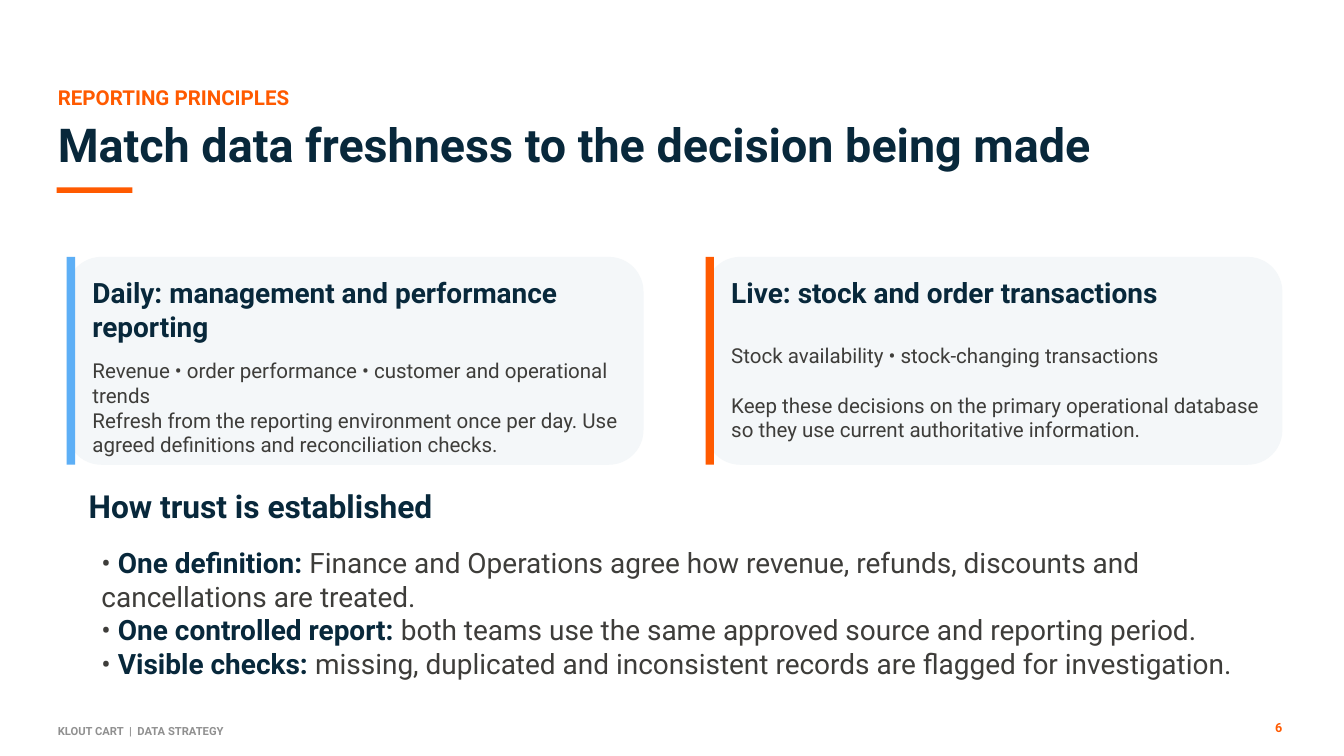
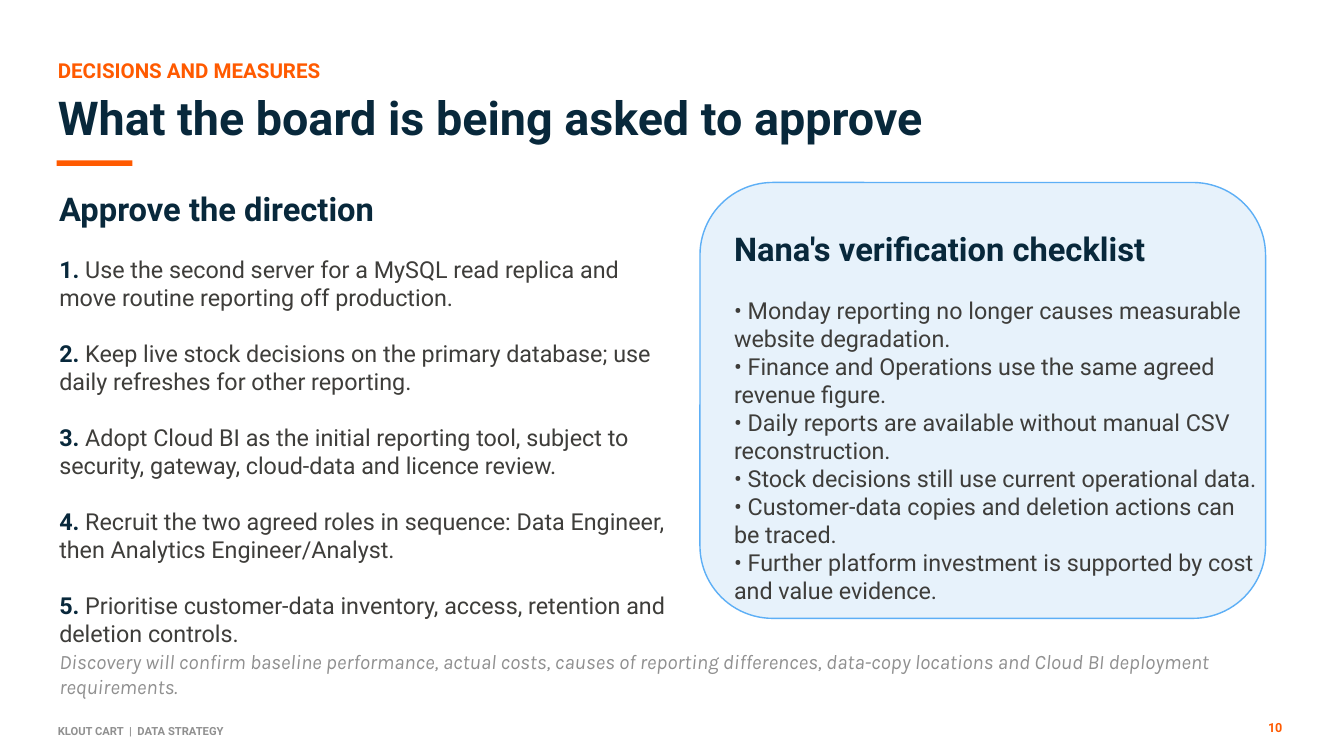
from pptx import Presentation
from pptx.dml.color import RGBColor
from pptx.enum.shapes import MSO_SHAPE
from pptx.enum.text import MSO_AUTO_SIZE, PP_ALIGN
from pptx.util import Pt

RECT, ROUNDED = MSO_SHAPE.RECTANGLE, MSO_SHAPE.ROUNDED_RECTANGLE
LEFT, RIGHT = PP_ALIGN.LEFT, PP_ALIGN.RIGHT
GROW = MSO_AUTO_SIZE.SHAPE_TO_FIT_TEXT

COLORS = {
    "navy": "08283B", "orange": "FF5A00", "blue": "5DAFF6", "body": "3E3D3A",
    "grey": "909090", "card": "F4F7F9", "panel": "E7F2FB", "white": "FFFFFF",
}
FONT, NOTE_FONT = "Roboto", "Karla"
LEADING = 1.2
MARGIN = 62


def rgb(name):
    return RGBColor.from_string(COLORS[name])


class Deck:
    def __init__(self):
        self.prs = Presentation()
        self.prs.slide_width, self.prs.slide_height = Pt(1440), Pt(810)
        self.s = None

    def slide(self, label, title, number, top):
        """Start a slide with its header at the given top, and its footer."""
        self.s = self.prs.slides.add_slide(self.prs.slide_layouts[6])
        fill = self.s.background.fill
        fill.solid()
        fill.fore_color.rgb = rgb("white")
        # Header
        self.text(MARGIN, top, 1074, 26, [label], 22, "orange", bold=True)
        self.text(MARGIN, top + 33, 1312, 60, [title], 50, "navy", bold=True)
        self.shape(RECT, 60.75, top + 109.75, 81, 6, "orange")
        # Footer
        self.text(MARGIN, 776, 750, 14, ["KLOUT CART  |  DATA STRATEGY"],
                  12, "grey", bold=True)
        self.text(1325.5, 771, 48.5, 18.5, [str(number)], 13.5, "orange",
                  bold=True, align=RIGHT)

    def shape(self, kind, x, y, w, h, fill, line=None):
        sp = self.s.shapes.add_shape(kind, Pt(x), Pt(y), Pt(w), Pt(h))
        sp.shadow.inherit = False
        sp.fill.solid()
        sp.fill.fore_color.rgb = rgb(fill)
        if line:
            sp.line.color.rgb = rgb(line)
            sp.line.width = Pt(1.5)
        else:
            sp.line.fill.background()

    def text(self, x, y, w, h, paragraphs, size, color="body", bold=False,
             italic=False, font=FONT, align=LEFT, gap=0):
        """Add a text box; parts between ** marks are bold navy."""
        tf = self.s.shapes.add_textbox(Pt(x), Pt(y), Pt(w), Pt(h)).text_frame
        tf.word_wrap = True
        tf.auto_size = GROW
        tf.margin_left = tf.margin_right = tf.margin_top = tf.margin_bottom = 0
        for i, content in enumerate(paragraphs):
            p = tf.add_paragraph() if i else tf.paragraphs[0]
            p.alignment = align
            p.line_spacing = Pt(size * LEADING)
            p.space_before = Pt(gap if i else 0)
            for j, part in enumerate(content.split("**")):
                if not part:
                    continue
                strong = j % 2 == 1
                r = p.add_run()
                r.text = part
                r.font.name, r.font.size = font, Pt(size)
                r.font.bold, r.font.italic = bold or strong, italic
                r.font.color.rgb = rgb("navy" if strong else color)

    def heading(self, x, y, w, h, content, size):
        self.text(x, y, w, h, [content], size, "navy", bold=True)

    def card(self, x, accent, title, title_h, body, body_y, gap):
        y, w, h = 275.25, 618, 222.75
        self.shape(ROUNDED, x, y, w, h, "card")
        self.shape(RECT, x, y, 9, h, accent)
        self.heading(x + 27.5, y + 20.5, 567.5, title_h, title, 30)
        self.text(x + 27.5, body_y, 567.5, 105, body, 22, gap=gap)


def reporting_principles(deck):
    deck.slide("REPORTING PRINCIPLES",
               "Match data freshness to the decision being made", 6, 91)
    # Freshness cards
    deck.card(71.5, "blue", "Daily: management and performance reporting", 72, [
        "Revenue • order performance • customer and operational trends",
        "Refresh from the reporting environment once per day. "
        "Use agreed definitions and reconciliation checks.",
    ], 384, gap=0)
    deck.card(756, "orange", "Live: stock and order transactions", 36, [
        "Stock availability • stock-changing transactions",
        "Keep these decisions on the primary operational database "
        "so they use current authoritative information.",
    ], 368, gap=26.4)
    # Trust
    deck.heading(95, 521.5, 374, 40.5, "How trust is established", 34)
    deck.text(108.75, 584.5, 1222.5, 144, [
        "• **One definition: **Finance and Operations agree how revenue, "
        "refunds, discounts and cancellations are treated.",
        "• **One controlled report: **both teams use the same approved "
        "source and reporting period.",
        "• **Visible checks: **missing, duplicated and inconsistent records "
        "are flagged for investigation.",
    ], 30)


def board_decisions(deck):
    deck.slide("DECISIONS AND MEASURES",
               "What the board is being asked to approve", 10, 62)
    # Approvals
    approvals = [
        "Use the second server for a MySQL read replica and move routine "
        "reporting off production.",
        "Keep live stock decisions on the primary database; use daily "
        "refreshes for other reporting.",
        "Adopt Cloud BI as the initial reporting tool, subject to security, "
        "gateway, cloud-data and licence review.",
        "Recruit the two agreed roles in sequence: Data Engineer, then "
        "Analytics Engineer/Analyst.",
        "Prioritise customer-data inventory, access, retention and deletion "
        "controls.",
    ]
    deck.heading(63.5, 202.5, 343, 42.5, "Approve the direction", 35)
    deck.text(63.5, 273.5, 655, 409,
              [f"**{n}. **{item}" for n, item in enumerate(approvals, 1)],
              25, gap=30)
    # Checklist
    checks = [
        "Monday reporting no longer causes measurable website degradation.",
        "Finance and Operations use the same agreed revenue figure.",
        "Daily reports are available without manual CSV reconstruction.",
        "Stock decisions still use current operational data.",
        "Customer-data copies and deletion actions can be traced.",
        "Further platform investment is supported by cost and value evidence.",
    ]
    deck.shape(ROUNDED, 750, 195.5, 606, 467, "panel", line="blue")
    deck.heading(786.5, 244.75, 534, 42.5, "Nana's verification checklist", 35)
    deck.text(786.5, 317.5, 560, 321, [f"• {check}" for check in checks], 25)
    # Closing note
    deck.text(63.5, 695.5, 1247, 52.5, [
        "Discovery will confirm baseline performance, actual costs, causes of "
        "reporting differences, data-copy locations and Cloud BI deployment "
        "requirements.",
    ], 22, "grey", italic=True, font=NOTE_FONT)


def main():
    deck = Deck()
    reporting_principles(deck)
    board_decisions(deck)
    deck.prs.save("out.pptx")


if __name__ == "__main__":
    main()
